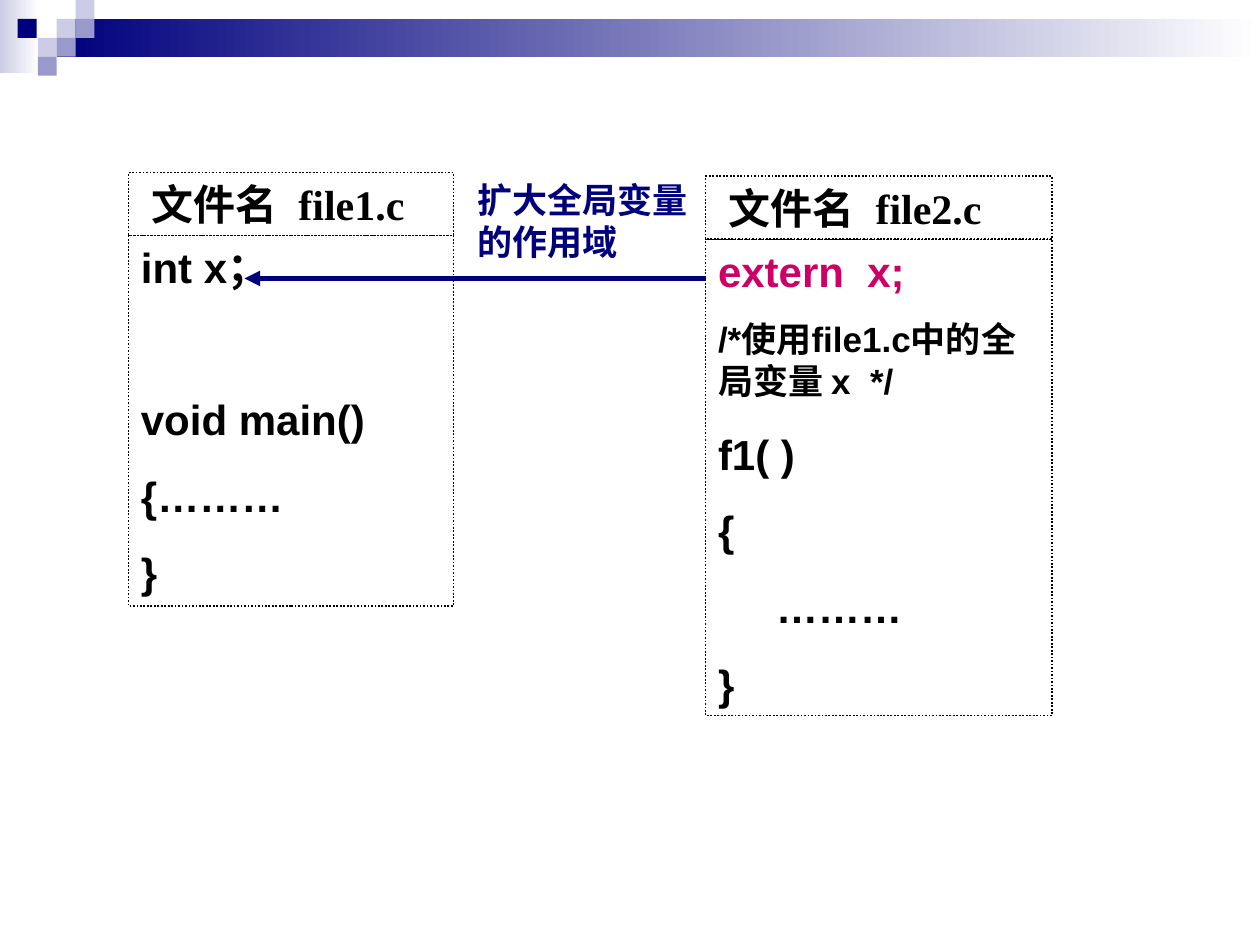
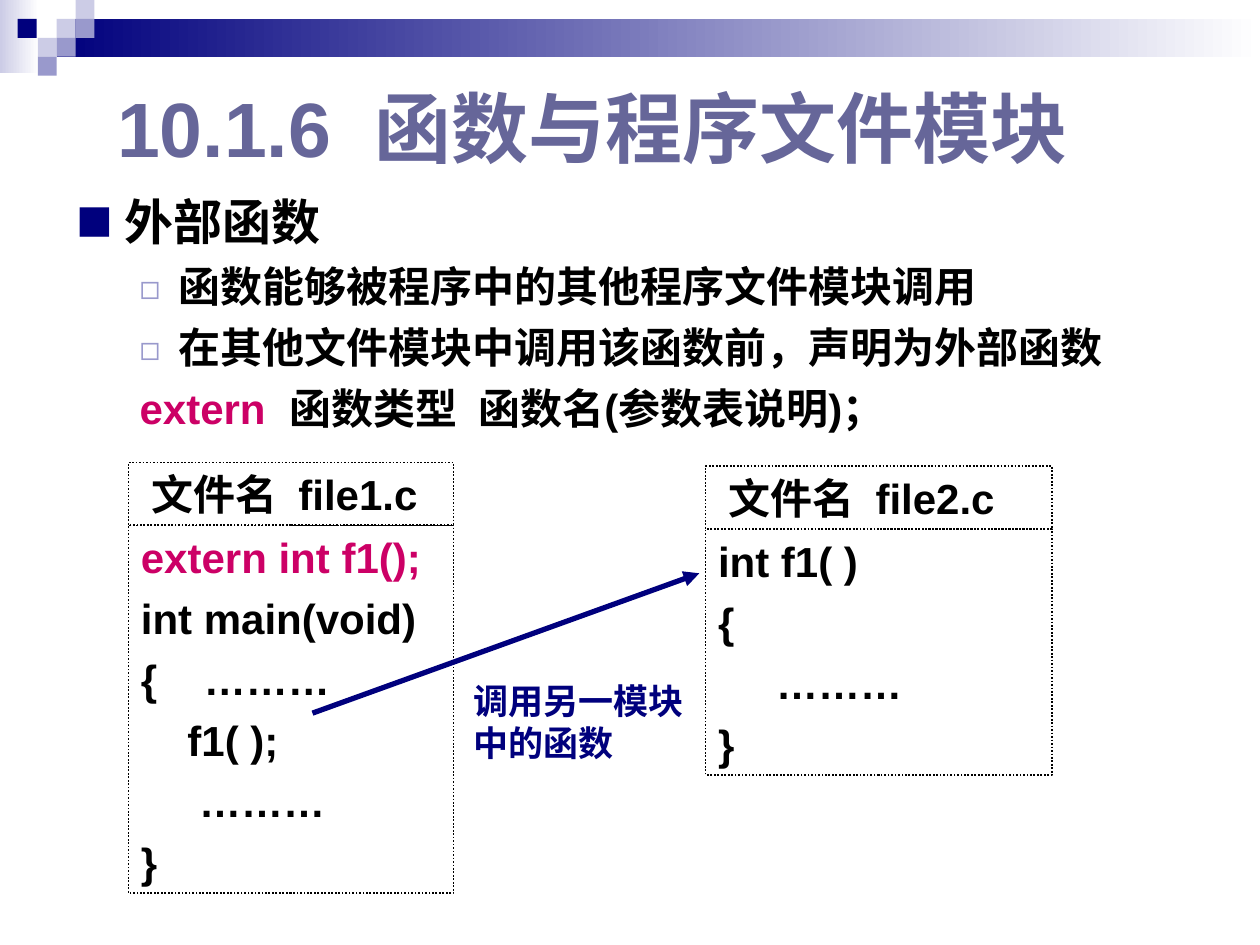
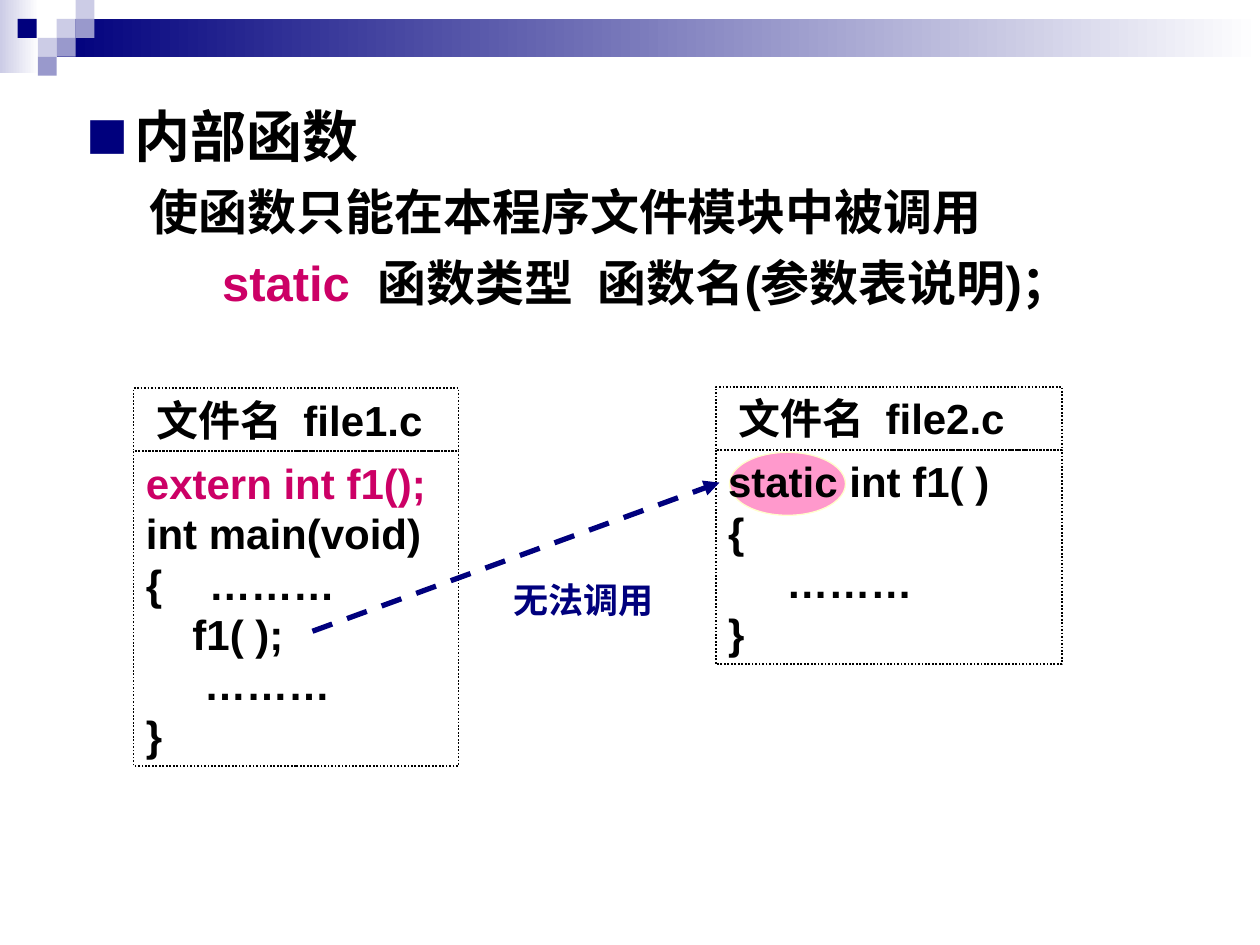
import pptx
import pptx.util
import pptx.dml.color
import pptx.enum.dml
import pptx.enum.shapes
import pptx.enum.text
import pptx.oxml.ns
from lxml import etree

Inches = pptx.util.Inches
Pt = pptx.util.Pt
RGBColor = pptx.dml.color.RGBColor
RECT = pptx.enum.shapes.MSO_SHAPE.RECTANGLE
OVAL = pptx.enum.shapes.MSO_SHAPE.OVAL
DASH = pptx.enum.dml.MSO_LINE
ALIGN = pptx.enum.text.PP_ALIGN
ANCHOR = pptx.enum.text.MSO_ANCHOR
qn = pptx.oxml.ns.qn

NAVY = RGBColor(0x00, 0x00, 0x7D)
LILAC = RGBColor(0xCC, 0xCC, 0xE6)
VIOLET = RGBColor(0x99, 0x99, 0xCC)
SLATE = RGBColor(0x66, 0x66, 0x99)
MAGENTA = RGBColor(0xCC, 0x00, 0x66)
PINK = RGBColor(0xFF, 0x99, 0xCC)
CREAM = RGBColor(0xFF, 0xFF, 0xCC)
BLACK = RGBColor(0x00, 0x00, 0x00)
WHITE = RGBColor(0xFF, 0xFF, 0xFF)
SANS = "Arial"
SERIF = "Times New Roman"
CJK = "Noto Sans CJK SC"


def add_run(p, text, size, color, font=SANS):
    r = p.add_run()
    r.text = text
    r.font.size = Pt(size)
    r.font.bold = True
    r.font.color.rgb = color
    r.font.name = font
    rPr = r.font._element
    etree.SubElement(rPr, qn("a:ea")).set("typeface", CJK)
    if text == " ":
        rPr.set("spc", str(size * 28))


def add_frame(slide, x, y, w, h, outlined=False):
    if outlined:
        sp = slide.shapes.add_shape(RECT, Inches(x), Inches(y), Inches(w), Inches(h))
        sp.shadow.inherit = False
        sp.fill.background()
        sp.line.color.rgb = BLACK
        sp.line.width = Pt(1)
        sp.line.dash_style = DASH.ROUND_DOT
    else:
        sp = slide.shapes.add_textbox(Inches(x), Inches(y), Inches(w), Inches(h))
    tf = sp.text_frame
    tf.word_wrap = True
    tf.vertical_anchor = ANCHOR.TOP
    tf.paragraphs[0].alignment = ALIGN.LEFT
    return tf


prs = pptx.Presentation()
prs.slide_width = Inches(10)
prs.slide_height = Inches(7.5)
blank, title_only = prs.slide_layouts[6], prs.slide_layouts[5]
slides = [prs.slides.add_slide(layout) for layout in (blank, title_only, blank)]

BANDS = [
    (0, 0, 0.31, 0.58, LILAC, True),
    (0.45, 0.15, 9.55, 0.3, NAVY, True),
    (0.45, 0.15, 0.15, 0.15, LILAC, False),
    (0.6, 0, 0.15, 0.15, LILAC, False),
    (0.6, 0.15, 0.15, 0.15, VIOLET, False),
    (0.3, 0.3, 0.15, 0.15, LILAC, False),
    (0.14, 0.15, 0.15, 0.15, NAVY, False),
    (0.45, 0.3, 0.15, 0.15, VIOLET, False),
    (0.3, 0.45, 0.15, 0.15, VIOLET, False),
]
master = prs.slide_master.shapes.element
for i, (x, y, w, h, color, fades) in enumerate(BANDS):
    sp = slides[0].shapes.add_shape(RECT, Inches(x), Inches(y), Inches(w), Inches(h))
    sp.shadow.inherit = False
    sp.line.fill.background()
    if fades:
        sp.fill.gradient()
        sp.fill.gradient_angle = 0
        for stop, stop_color in zip(sp.fill.gradient_stops, (color, WHITE)):
            stop.color.rgb = stop_color
    else:
        sp.fill.solid()
        sp.fill.fore_color.rgb = color
    sp._element.nvSpPr.cNvPr.set("id", str(100 + i))
    master.append(sp._element)

title = slides[1].shapes.title
title.left, title.top = Inches(0.83), Inches(0.52)
title.width, title.height = Inches(8.16), Inches(0.97)
tf = title.text_frame
tf.auto_size = pptx.enum.text.MSO_AUTO_SIZE.NONE
tf.vertical_anchor = ANCHOR.MIDDLE
p = tf.paragraphs[0]
p.alignment = ALIGN.LEFT
for text in ("10.1.6", " ", "函数与程序文件模块"):
    add_run(p, text, 44, SLATE)

SQUARE = ("■", NAVY, 75)
HOLLOW = ("◻", VIOLET, 80)
SYNTAX = [(" ", BLACK), ("函数类型", BLACK), (" ", BLACK), ("函数名(参数表说明)；", BLACK)]
BODIES = [
    (slides[1], (0.51, 1.47, 8.9, 2.05), [
        (28, 0, 0.38, -0.38, SQUARE, ALIGN.LEFT, [("外部函数", BLACK)]),
        (24, 6, 0.81, -0.31, HOLLOW, ALIGN.LEFT,
         [("函数能够被程序中的其他程序文件模块调用", BLACK)]),
        (24, 6, 0.81, -0.31, HOLLOW, ALIGN.LEFT,
         [("在其他文件模块中调用该函数前，声明为外部函数", BLACK)]),
        (24, 6, 0.81, -0.31, None, ALIGN.LEFT, [("extern", MAGENTA)] + SYNTAX),
    ]),
    (slides[2], (0.59, 0.76, 8.58, 1.81), [
        (32, 0, 0.38, -0.38, SQUARE, ALIGN.LEFT, [("内部函数", BLACK)]),
        (28, 7, 0.81, -0.31, None, ALIGN.LEFT,
         [("使函数只能在本程序文件模块中被调用", BLACK)]),
        (28, 7, 0.81, -0.31, None, ALIGN.CENTER, [("static", MAGENTA)] + SYNTAX),
    ]),
]
for s, at, paragraphs in BODIES:
    tf = add_frame(s, *at)
    for i, (size, before, margin, indent, bullet, align, runs) in enumerate(paragraphs):
        p = tf.add_paragraph() if i else tf.paragraphs[0]
        p.alignment = align
        p.space_before = Pt(before)
        pPr = p._p.get_or_add_pPr()
        pPr.set("marL", str(Inches(margin)))
        pPr.set("indent", str(Inches(indent)))
        if bullet:
            char, color, scale = bullet
            buClr = etree.SubElement(pPr, qn("a:buClr"))
            etree.SubElement(buClr, qn("a:srgbClr")).set("val", str(color))
            etree.SubElement(pPr, qn("a:buSzPct")).set("val", str(scale * 1000))
            etree.SubElement(pPr, qn("a:buFont")).set("typeface", CJK)
            etree.SubElement(pPr, qn("a:buChar")).set("char", char)
        else:
            etree.SubElement(pPr, qn("a:buNone"))
        for text, color in runs:
            add_run(p, text, size, color)

halo = slides[2].shapes.add_shape(OVAL, Inches(5.79), Inches(3.59), Inches(0.92), Inches(0.5))
halo.shadow.inherit = False
halo.fill.solid()
halo.fill.fore_color.rgb = PINK
halo.line.color.rgb = CREAM
halo.line.width = Pt(0.75)

CALLER = ["extern int f1();", "int main(void)", "{    ………", "    f1( );", "     ………", "}"]
CALLEE = ["{", "     ………", "}"]
COMMENT = "/*使用file1.c中的全局变量 x  */"
FILES = [
    (slides[0], "file1.c", SERIF, 1.02, 1.37, 2.58, 2.94, 15,
     ["int x；", "void main()", "{………", "}"]),
    (slides[0], "file2.c", SERIF, 5.6, 1.4, 2.75, 3.78, 15,
     ["extern  x;", COMMENT, "f1( )"] + CALLEE),
    (slides[1], "file1.c", SANS, 1.02, 3.67, 2.58, 2.92, 6, CALLER),
    (slides[1], "file2.c", SANS, 5.6, 3.7, 2.75, 1.95, 6, ["int f1( )"] + CALLEE),
    (slides[2], "file1.c", SANS, 1.06, 3.08, 2.58, 2.5, 0, CALLER),
    (slides[2], "file2.c", SANS, 5.68, 3.07, 2.75, 1.7, 0, ["static int f1( )"] + CALLEE),
]
HEADER_H = 0.5
for s, name, font, x, y, w, h, gap, lines in FILES:
    tf = add_frame(s, x, y + HEADER_H, w, h, outlined=True)
    for i, line in enumerate(lines):
        p = tf.add_paragraph() if i else tf.paragraphs[0]
        p.alignment = ALIGN.LEFT
        before, size = gap, 24
        if line == COMMENT:
            before, size = 12.5, 20
        elif line == "void main()":
            before = 58
        p.space_before = Pt(before if i else 0)
        add_run(p, line, size, MAGENTA if line.startswith("extern") else BLACK)
    tf = add_frame(s, x, y, w, HEADER_H, outlined=True)
    tf.margin_left = Inches(0.18)
    for text in ("文件名", " ", name):
        add_run(tf.paragraphs[0], text, 24, BLACK, font)

CALLS = [
    (slides[0], "扩大全局变量的作用域", (3.69, 1.37, 2, 0.77), (5.6, 2.21, 1.94, 2.21), DASH.SOLID),
    (slides[1], "调用另一模块中的函数", (3.66, 5.34, 2, 0.77), (2.48, 5.66, 5.55, 4.55), DASH.SOLID),
    (slides[2], "无法调用", (3.98, 4.54, 1.33, 0.44), (2.48, 5.01, 5.71, 3.83), DASH.DASH),
]
for s, note, at, ends, dash in CALLS:
    tf = add_frame(s, *at)
    add_run(tf.paragraphs[0], note, 20, NAVY)
    arrow = s.shapes.add_connector(
        pptx.enum.shapes.MSO_CONNECTOR.STRAIGHT, *[Inches(v) for v in ends])
    arrow.line.color.rgb = NAVY
    arrow.line.width = Pt(3)
    arrow.line.dash_style = dash
    etree.SubElement(arrow.line._get_or_add_ln(), qn("a:tailEnd")).set("type", "triangle")
    etree.SubElement(arrow._element.spPr, qn("a:effectLst"))

prs.save("out.pptx")
